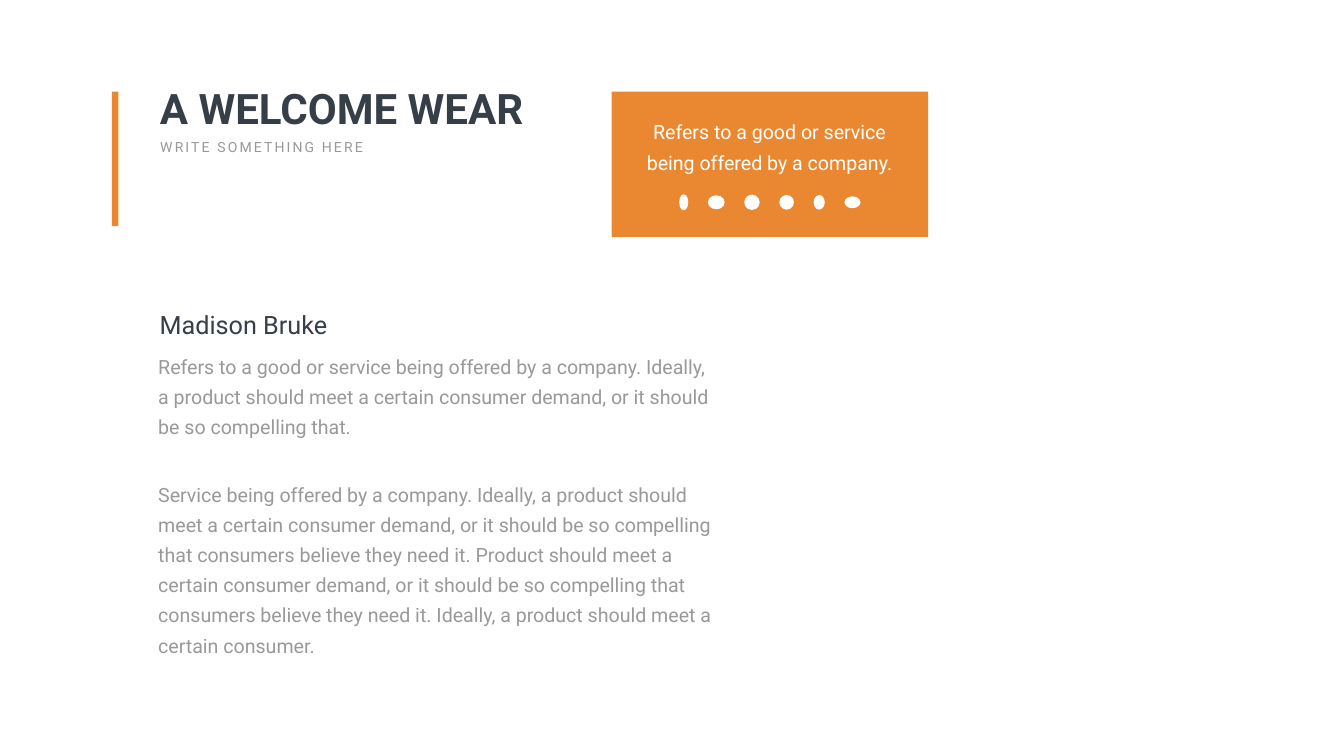
from dataclasses import dataclass

from pptx import Presentation
from pptx.dml.color import RGBColor
from pptx.enum.shapes import MSO_SHAPE
from pptx.enum.text import MSO_ANCHOR, MSO_AUTO_SIZE, PP_ALIGN
from pptx.util import Pt

ORANGE = RGBColor(0xEA, 0x88, 0x31)
DARK = RGBColor(0x36, 0x3E, 0x48)
GRAY = RGBColor(0x99, 0x99, 0x99)
WHITE = RGBColor(0xFF, 0xFF, 0xFF)
FONT = "Roboto"
LINE_PITCH = Pt(43)
PARAGRAPH_GAP = Pt(54)
ICON_START, ICON_GAP, ICON_MIDDLE = 970, 28, 289


@dataclass(frozen=True)
class Box:
    left: float
    top: float
    width: float
    height: float


@dataclass(frozen=True)
class TextStyle:
    size: float
    color: RGBColor
    bold: bool = False
    align: PP_ALIGN = PP_ALIGN.LEFT
    line_spacing: Pt | None = None
    tracking: float = 0
    inset: tuple[float, float] = (7.2, 3.6)
    wrap: bool = True


@dataclass(frozen=True)
class Icon:
    width: float
    height: float


ICONS = [Icon(13, 23), Icon(24, 20), Icon(22, 22),
         Icon(21, 21), Icon(16, 21), Icon(23, 17)]


def place(shape, box: Box) -> None:
    for side in ("left", "top", "width", "height"):
        setattr(shape, side, Pt(getattr(box, side)))


def write(shape, paragraphs: list[str], style: TextStyle) -> None:
    frame = shape.text_frame
    across, down = (Pt(inset) for inset in style.inset)
    frame_format = {
        "word_wrap": style.wrap, "auto_size": MSO_AUTO_SIZE.NONE,
        "vertical_anchor": MSO_ANCHOR.TOP,
        "margin_left": across, "margin_right": across,
        "margin_top": down, "margin_bottom": down,
    }
    for name, value in frame_format.items():
        setattr(frame, name, value)

    for index, text in enumerate(paragraphs):
        paragraph = frame.paragraphs[0] if index == 0 else frame.add_paragraph()
        paragraph.alignment = style.align
        paragraph.line_spacing = style.line_spacing
        if index:
            paragraph.space_before = PARAGRAPH_GAP
        run = paragraph.add_run()
        run.text = text
        font_format = {"name": FONT, "size": Pt(style.size), "bold": style.bold}
        for name, value in font_format.items():
            setattr(run.font, name, value)
        run.font.color.rgb = style.color
        if style.tracking:
            run.font._element.set("spc", str(int(style.tracking * 100)))


def add_text(slide, box: Box, paragraphs: list[str], style: TextStyle) -> None:
    text_box = slide.shapes.add_textbox(0, 0, 0, 0)
    place(text_box, box)
    write(text_box, paragraphs, style)


def add_block(slide, kind: MSO_SHAPE, box: Box, color: RGBColor) -> None:
    block = slide.shapes.add_shape(kind, 0, 0, 0, 0)
    place(block, box)
    block.shadow.inherit = False
    block.fill.solid()
    block.fill.fore_color.rgb = color
    block.line.fill.background()


def main() -> None:
    presentation = Presentation()
    presentation.slide_width = Pt(1919.52)
    presentation.slide_height = Pt(1080)
    slide = presentation.slides.add_slide(presentation.slide_layouts[5])

    # Heading with its accent bar
    heading = slide.shapes.title
    place(heading, Box(221, 114.5, 600.5, 80))
    write(heading, ["A WELCOME WEAR"], TextStyle(60, DARK, bold=True))
    add_text(slide, Box(221.75, 194.5, 313, 31.5), ["WRITE SOMETHING HERE"],
             TextStyle(20, GRAY, tracking=3, wrap=False))
    add_block(slide, MSO_SHAPE.RECTANGLE, Box(160, 131, 9.25, 192), ORANGE)

    # Orange card with a row of icons
    add_block(slide, MSO_SHAPE.RECTANGLE, Box(873.5, 131, 452, 207.5), ORANGE)
    add_text(slide, Box(891.25, 154, 415.5, 100),
             ["Refers to a good or service being offered by a company."],
             TextStyle(28, WHITE, align=PP_ALIGN.CENTER,
                       line_spacing=LINE_PITCH, inset=(17, 8.6)))
    icon_left = ICON_START
    for icon in ICONS:
        icon_top = ICON_MIDDLE - icon.height / 2
        add_block(slide, MSO_SHAPE.OVAL,
                  Box(icon_left, icon_top, icon.width, icon.height), WHITE)
        icon_left += icon.width + ICON_GAP

    # Person and description
    add_text(slide, Box(221, 438.5, 408, 51), ["Madison Bruke"],
             TextStyle(36, DARK))
    add_text(slide, Box(209, 489, 825, 460), [
        "Refers to a good or service being offered by a company. Ideally, "
        "a product should meet a certain consumer demand, or it should be "
        "so compelling that.",
        "Service being offered by a company. Ideally, a product should meet "
        "a certain consumer demand, or it should be so compelling that "
        "consumers believe they need it. Product should meet a certain "
        "consumer demand, or it should be so compelling that consumers "
        "believe they need it. Ideally, a product should meet a certain "
        "consumer.",
    ], TextStyle(28, GRAY, line_spacing=LINE_PITCH, inset=(17, 8.6)))

    presentation.save("out.pptx")


if __name__ == "__main__":
    main()
